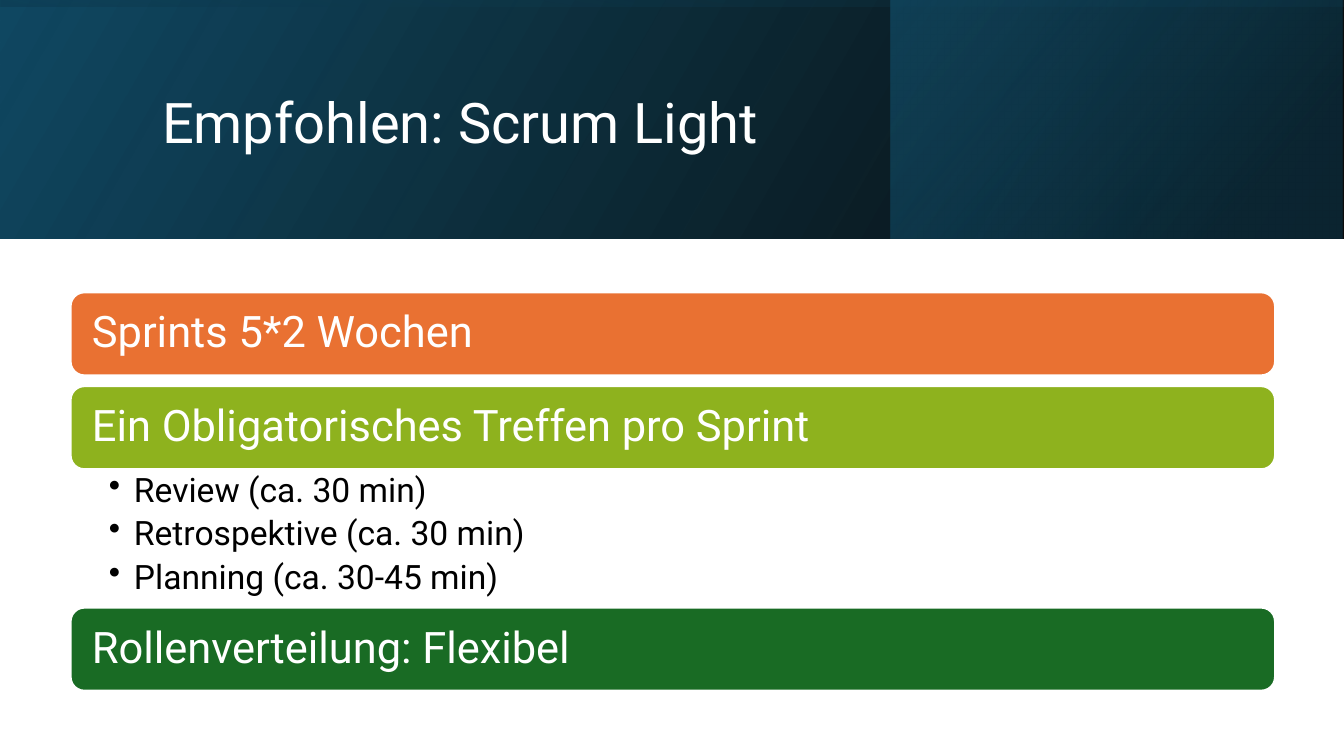
from lxml.etree import SubElement
from pptx import Presentation
from pptx.dml.color import RGBColor
from pptx.enum.shapes import MSO_SHAPE
from pptx.enum.text import MSO_ANCHOR
from pptx.oxml.ns import qn
from pptx.util import Pt

SLIDE_WIDTH, SLIDE_HEIGHT = 960, 540
HEADER_HEIGHT = 170.6
SIDE_LEFT, SIDE_WIDTH = 636.2, 322.8
BAR_LEFT, BAR_WIDTH, BAR_HEIGHT, BAR_GAP = 50.4, 860.4, 59.4, 7.6
BARS_TOP = 208.8
LIST_HEIGHT = 98.8


def color(hex_string):
    return RGBColor.from_string(hex_string)


class SlideBuilder:
    font = "Roboto"
    white = "FFFFFF"
    black = "000000"

    def __init__(self, slide):
        self.slide = slide

    def add_gradient_panel(self, left, top, width, height, angle, stops, rotation=0):
        """Mirrored rectangle; each stop is (position, colour, opacity), both numbers in percent."""
        shape = self.slide.shapes.add_shape(
            MSO_SHAPE.RECTANGLE, Pt(left), Pt(top), Pt(width), Pt(height))
        shape.shadow.inherit = False
        shape.line.fill.background()
        shape.rotation = rotation
        properties = shape._element.spPr
        properties.find(qn("a:xfrm")).set("flipH", "1")
        shape.fill.gradient()
        shape.fill.gradient_angle = 360 - angle
        for gradient_stop, (position, hex_string, _) in zip(shape.fill.gradient_stops, stops):
            gradient_stop.position = position / 100
            gradient_stop.color.rgb = color(hex_string)
        for color_element, (_, _, opacity) in zip(properties.iter(qn("a:srgbClr")), stops):
            SubElement(color_element, qn("a:alpha"), val=str(opacity * 1000))

    def set_text(self, shape, lines, size, hex_string, insets, anchor=MSO_ANCHOR.MIDDLE, space_after=0):
        frame = shape.text_frame
        frame.word_wrap = True
        frame.vertical_anchor = anchor
        frame.margin_left, frame.margin_top, frame.margin_right, frame.margin_bottom = map(Pt, insets)
        frame.text = "\n".join(lines)
        for paragraph in frame.paragraphs:
            paragraph.line_spacing = 0.9
            paragraph.space_after = Pt(space_after)
            paragraph.font.name = self.font
            paragraph.font.size = Pt(size)
            paragraph.font.color.rgb = color(hex_string)
            paragraph._p.get_or_add_pPr().set("algn", "l")
        return frame.paragraphs

    def add_text_box(self, left, top, width, height):
        return self.slide.shapes.add_textbox(Pt(left), Pt(top), Pt(width), Pt(height))

    def add_title(self, text):
        shape = self.add_text_box(108.7, 27.4, 765.4, 123.8)
        self.set_text(shape, [text], 40, self.white, (7.2, 3.6, 7.2, 3.6))

    def add_bar(self, top, text, fill):
        shape = self.slide.shapes.add_shape(
            MSO_SHAPE.ROUNDED_RECTANGLE, Pt(BAR_LEFT), Pt(top), Pt(BAR_WIDTH), Pt(BAR_HEIGHT))
        shape.shadow.inherit = False
        shape.fill.solid()
        shape.fill.fore_color.rgb = color(fill)
        shape.line.color.rgb = color(self.white)
        shape.line.width = Pt(1.5)
        self.set_text(shape, [text], 31, self.white, (12.4, 9, 12.4, 9))

    def add_bullets(self, top, lines):
        shape = self.add_text_box(BAR_LEFT, top, BAR_WIDTH, LIST_HEIGHT)
        paragraphs = self.set_text(shape, lines, 24, self.black, (27.3, 3, 17, 3), MSO_ANCHOR.TOP, 5)
        for paragraph in paragraphs:
            properties = paragraph._p.get_or_add_pPr()
            properties.set("marL", str(Pt(18)))
            properties.set("indent", str(-Pt(18)))
            bullet = properties.makeelement(qn("a:buChar"), {"char": "•"})
            properties.find(qn("a:defRPr")).addprevious(bullet)


def main():
    presentation = Presentation()
    presentation.slide_width = Pt(SLIDE_WIDTH)
    presentation.slide_height = Pt(SLIDE_HEIGHT)
    builder = SlideBuilder(presentation.slides.add_slide(presentation.slide_layouts[6]))

    builder.add_gradient_panel(0, 0, SLIDE_WIDTH, HEADER_HEIGHT, 330,
                               [(0, "000000", 96), (100, "104862", 100)])
    builder.add_gradient_panel(SIDE_LEFT, 0, SIDE_WIDTH, HEADER_HEIGHT, 320,
                               [(19, "0B3041", 68), (100, "156082", 48)])
    # Turned a quarter, this panel spans the whole header.
    offset = (SLIDE_WIDTH - HEADER_HEIGHT) / 2
    builder.add_gradient_panel(offset, -offset, HEADER_HEIGHT, SLIDE_WIDTH, 350,
                               [(23, "104862", 16), (99, "000000", 45)], rotation=270)
    builder.add_title("Empfohlen: Scrum Light")

    sections = [
        ("Sprints 5*2 Wochen", "E97132", []),
        ("Ein Obligatorisches Treffen pro Sprint", "8EB21E",
         ["Review (ca. 30 min)", "Retrospektive (ca. 30 min)", "Planning (ca. 30-45 min)"]),
        ("Rollenverteilung: Flexibel", "196B24", []),
    ]
    top = BARS_TOP
    for heading, fill, bullets in sections:
        builder.add_bar(top, heading, fill)
        top += BAR_HEIGHT
        if bullets:
            builder.add_bullets(top, bullets)
        top += LIST_HEIGHT if bullets else BAR_GAP

    presentation.save("out.pptx")


if __name__ == "__main__":
    main()
